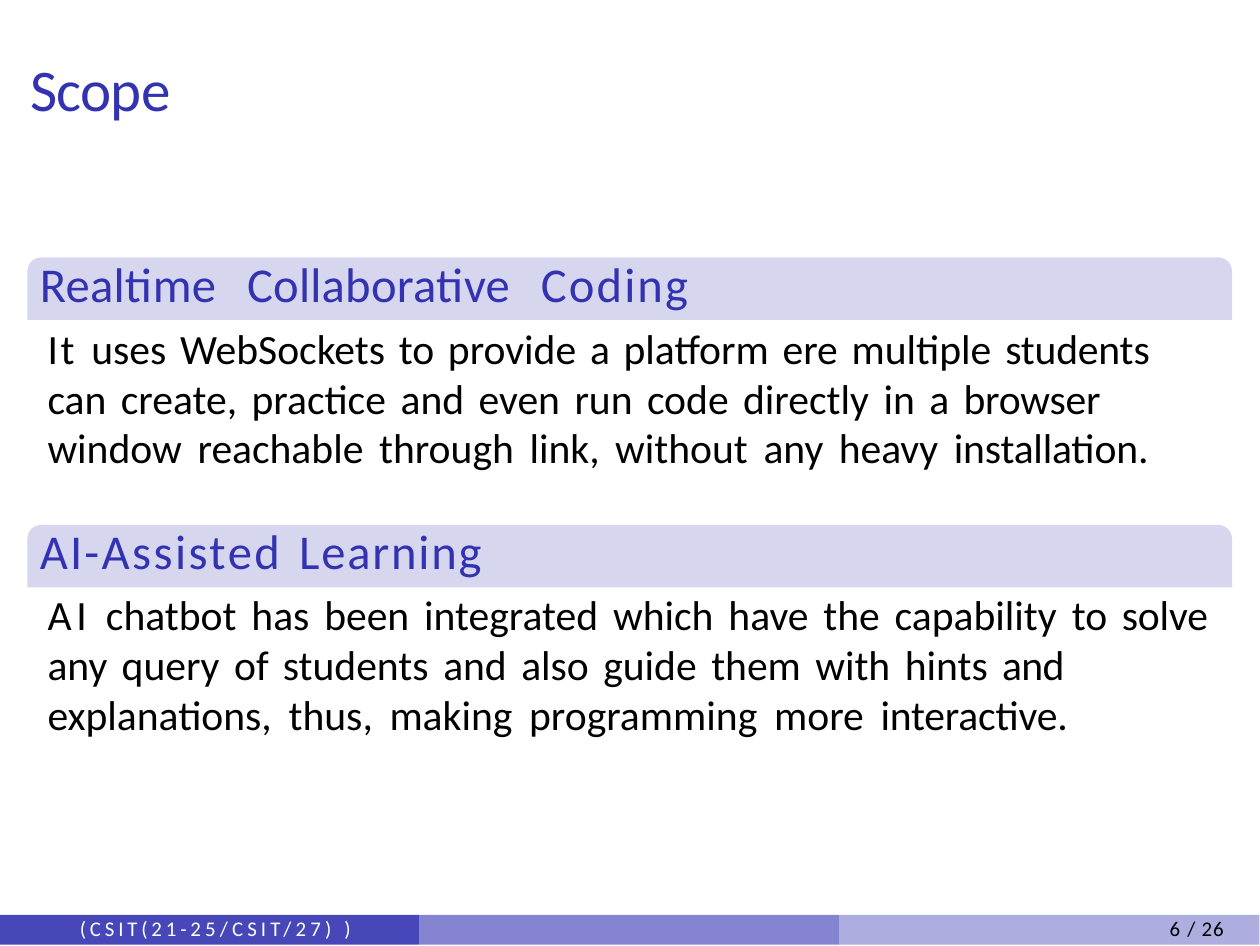
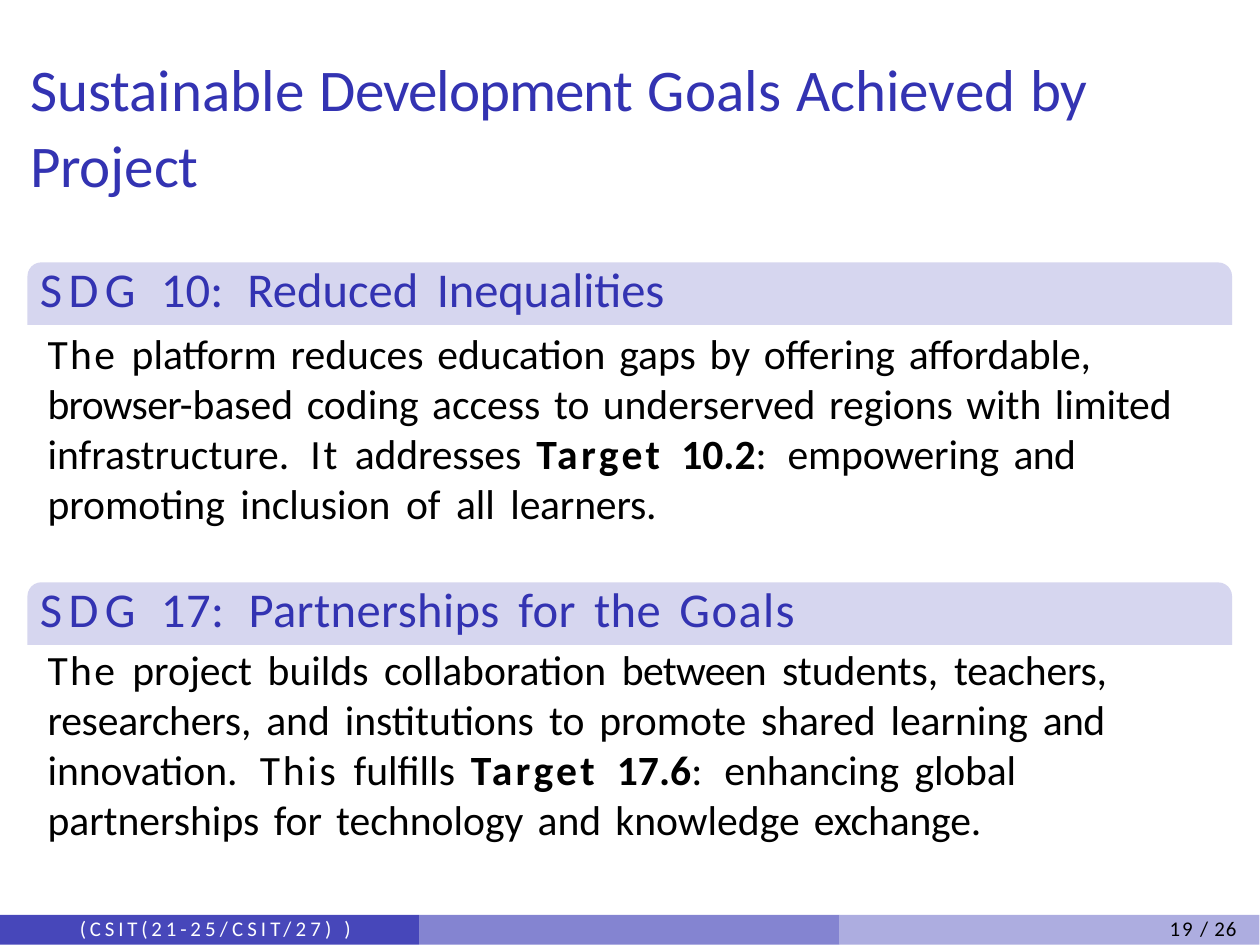
"""Build two block-style slides with a shared title style and footer band."""
from itertools import groupby

from lxml import etree
from pptx import Presentation
from pptx.dml.color import RGBColor
from pptx.enum.shapes import MSO_SHAPE
from pptx.enum.text import MSO_ANCHOR, MSO_AUTO_SIZE, PP_ALIGN
from pptx.oxml.ns import qn
from pptx.util import Inches, Pt

RECTANGLE = MSO_SHAPE.RECTANGLE
ROUND_TOP = MSO_SHAPE.ROUND_2_SAME_RECTANGLE
TOP = MSO_ANCHOR.TOP
NO_FIT = MSO_AUTO_SIZE.NONE
LEFT = PP_ALIGN.LEFT

FONT = "Calibri"
COLORS = {
    "title": "3333B2",
    "block": "D6D6EF",
    "text": "000000",
    "white": "FFFFFF",
    "band_dark": "4747BA",
    "band_middle": "8484D1",
    "band_light": "ADADE0",
}
BAR_HEIGHT = 0.25
FOOTER = (0, 3.66, 5.04, 0.12)
AUTHOR = [("(CSIT(21-", 1.1, 1.1), ("25/CSIT/27) ", 1.2, 1.2), (")", 0.5, 0)]

PAGES = [
    {
        "title": [("Scope", -0.2, 0)],
        "number": "6",
        "blocks": [
            {
                "top": 1.03,
                "heading": [("Realtime Collaborative ", 0.05, 5.6), ("Coding", 0.6, 0)],
                "margin": 0.3,
                "body": [
                    ("It ", 0.8, 1.3),
                    ("uses WebSockets to provide a platform ere multiple ", 0, 1.2),
                    ("students ", -0.05, 1.3),
                    ("can create, practice and even run code directly in a ", 0, 1.4),
                    ("browser ", -0.05, 1.3),
                    ("window reachable through link, without any heavy ", 0, 1.7),
                    ("installation.", -0.05, 0),
                ],
            },
            {
                "top": 2.1,
                "heading": [("AI-", 0.6, 0), ("Assisted ", 0.7, 1.5), ("Learning", 0.5, 0)],
                "margin": 0,
                "body": [
                    ("AI ", 1.4, 1.4),
                    ("chatbot has been integrated which have the capability to ", 0, 1.5),
                    ("solve ", -0.05, 1.3),
                    ("any query of students and also guide them with hints ", 0, 1.4),
                    ("and ", -0.2, 1.4),
                    ("explanations, thus, making programming more ", 0, 2),
                    ("interactive.", -0.05, 0),
                ],
            },
        ],
    },
    {
        "title": [
            ("Sustainable ", 0, 0.4),
            ("Development ", -0.3, 0.4),
            ("Goals Achieved ", 0, 0.4),
            ("by ", -0.2, 0.4),
            ("Project", -0.05, 0),
        ],
        "number": "19",
        "blocks": [
            {
                "top": 1.05,
                "heading": [
                    ("SDG ", 1.8, 2.3),
                    ("10: ", 0, 3.7),
                    ("Reduced ", 0, 2),
                    ("Inequalities", -0.05, 0),
                ],
                "margin": 0.15,
                "body": [
                    ("The ", 0.7, 1.3),
                    ("platform reduces education gaps by offering ", 0, 1.2),
                    ("affordable, ", -0.05, 1.3),
                    ("browser-", -0.2, 0),
                    ("based coding access to underserved regions with ", 0, 1.1),
                    ("limited ", -0.05, 1.1),
                    ("infrastructure. ", 0, 3.2),
                    ("It ", 0.8, 1.5),
                    ("addresses ", -0.05, 1.6),
                    ("Target ", 1, 2.3, True),
                    ("10.2", 0, 0, True),
                    (": ", 0, 3.3),
                    ("empowering ", -0.05, 1.4),
                    ("and ", -0.2, 1.4),
                    ("promoting inclusion of all ", 0, 1.7),
                    ("learners.", -0.05, 0),
                ],
            },
            {
                "top": 2.33,
                "heading": [
                    ("SDG ", 1.8, 2.3),
                    ("17: ", 0.1, 3.7),
                    ("Partnerships for the ", 0.1, 2),
                    ("Goals", 0.4, 0),
                ],
                "margin": 0.15,
                "body": [
                    ("The ", 0.7, 1.5),
                    ("project builds collaboration ", 0, 1.7),
                    ("between ", -0.2, 1.7),
                    ("students, ", 0, 1.7),
                    ("teachers, researchers, ", -0.05, 1.5),
                    ("and institutions to promote shared learning ", 0, 1.5),
                    ("and ", -0.2, 1.5),
                    ("innovation. ", 0, 3.6),
                    ("This ", 0.8, 1.5),
                    ("fulfills ", 0, 1.8),
                    ("Target ", 1, 2.6, True),
                    ("17.6", 0, 0, True),
                    (": ", 0, 3.6),
                    ("enhancing ", 0, 1.7),
                    ("global ", -0.05, 1.4),
                    ("partnerships for technology and knowledge ", 0, 1.3),
                    ("exchange.", -0.05, 0),
                ],
            },
        ],
    },
]


def color(name):
    """Return the named colour."""
    return RGBColor.from_string(COLORS[name])


def write_para(para, spans, *, size, fill, leading=1.0, before=0, left=0, right=0):
    """Write spans of text, letter spacing, word-gap spacing and optional bold."""
    properties = para._p.get_or_add_pPr()
    for name, length in (("marL", left), ("marR", right), ("indent", 0)):
        properties.set(name, str(int(Inches(length))))
    etree.SubElement(properties, qn("a:buNone"))
    para.alignment = LEFT
    para.line_spacing = leading
    para.space_before = Pt(before)
    para.space_after = Pt(0)
    for text, tracking, gap, *bold in spans:
        for is_gap, letters in groupby(text, key=lambda letter: letter == " "):
            span = para.add_run()
            span.text = "".join(letters)
            span.font.name = FONT
            span.font.size = Pt(size)
            span.font.bold = bool(bold)
            span.font.color.rgb = color(fill)
            spacing = gap if is_gap else tracking
            if spacing:
                span._r.get_or_add_rPr().set("spc", str(round(spacing * 100)))


def prepare_frame(box, area, inset=0):
    """Move a text holder to its area and return its cleaned text frame."""
    box.left, box.top, box.width, box.height = map(Inches, area)
    frame = box.text_frame
    frame.word_wrap = True
    frame.auto_size = NO_FIT
    frame.vertical_anchor = TOP
    frame.margin_left = frame.margin_right = frame.margin_bottom = 0
    frame.margin_top = Inches(inset)
    return frame


def add_label(page, area, spans, **style):
    """Add a one-paragraph text box."""
    frame = prepare_frame(page.shapes.add_textbox(0, 0, 0, 0), area)
    write_para(frame.paragraphs[0], spans, **style)


def add_panel(page, kind, area, fill):
    """Add a filled shape without outline or shadow."""
    panel = page.shapes.add_shape(kind, *map(Inches, area))
    panel.shadow.inherit = False
    panel.fill.solid()
    panel.fill.fore_color.rgb = color(fill)
    panel.line.fill.background()
    return panel


def add_title(page, spans):
    """Fill the title placeholder."""
    frame = prepare_frame(page.shapes.title, (0.1, 0.18, 4.5, 0.64), 0.01)
    write_para(frame.paragraphs[0], spans, size=17, fill="title", leading=1.07, left=0.02)


def add_block_bar(page, area, heading):
    """Add a round-topped bar with its heading."""
    left, top, width, height = area
    bar = add_panel(page, ROUND_TOP, area, "block")
    bar.adjustments[0] = 0.22
    bar.adjustments[1] = 0
    add_label(page, (left + 0.05, top + 0.03, width - 0.1, height - 0.05), heading,
              size=14, fill="title", leading=Pt(13.6))


def add_body(page, area, blocks):
    """Fill the body placeholder with one paragraph for each block."""
    frame = prepare_frame(page.placeholders[1], area, 0.01)
    for index, block in enumerate(blocks):
        para = frame.add_paragraph() if index else frame.paragraphs[0]
        write_para(para, block["body"], size=12, fill="text",
                   before=33.5 if index else 0, right=block["margin"])


def add_footer(page, area, number):
    """Add the three-part band with the author code and page number."""
    left, top, width, height = area
    part = width / 3
    for index, fill in enumerate(("band_dark", "band_middle", "band_light")):
        add_panel(page, RECTANGLE, (left + index * part, top, part, height), fill)
    style = {"size": 6, "leading": Pt(6.7)}
    add_label(page, (left + 0.31, top + 0.01, 1.2, 0.11), AUTHOR,
              fill="white", left=0.01, **style)
    count = [(f"{number} ", 0.6, 0.2), ("/ ", 0.2, 0.2), ("26", 0.3, 0)]
    add_label(page, (left + width - 0.4, top + 0.01, 0.4, 0.11), count,
              fill="text", left=0.04, **style)


def add_page(deck, content):
    """Add one slide of headed blocks."""
    page = deck.slides.add_slide(deck.slide_layouts[1])
    blocks = content["blocks"]
    add_title(page, content["title"])
    for block in blocks:
        add_block_bar(page, (0.11, block["top"], 4.82, BAR_HEIGHT), block["heading"])
    body_top = blocks[0]["top"] + BAR_HEIGHT
    add_body(page, (0.19, body_top, 4.8, 2.1), blocks)
    add_footer(page, FOOTER, content["number"])


def main():
    """Build and save the deck."""
    deck = Presentation()
    deck.slide_width = Pt(363)
    deck.slide_height = Pt(272.5)
    for content in PAGES:
        add_page(deck, content)
    deck.save("out.pptx")


if __name__ == "__main__":
    main()
